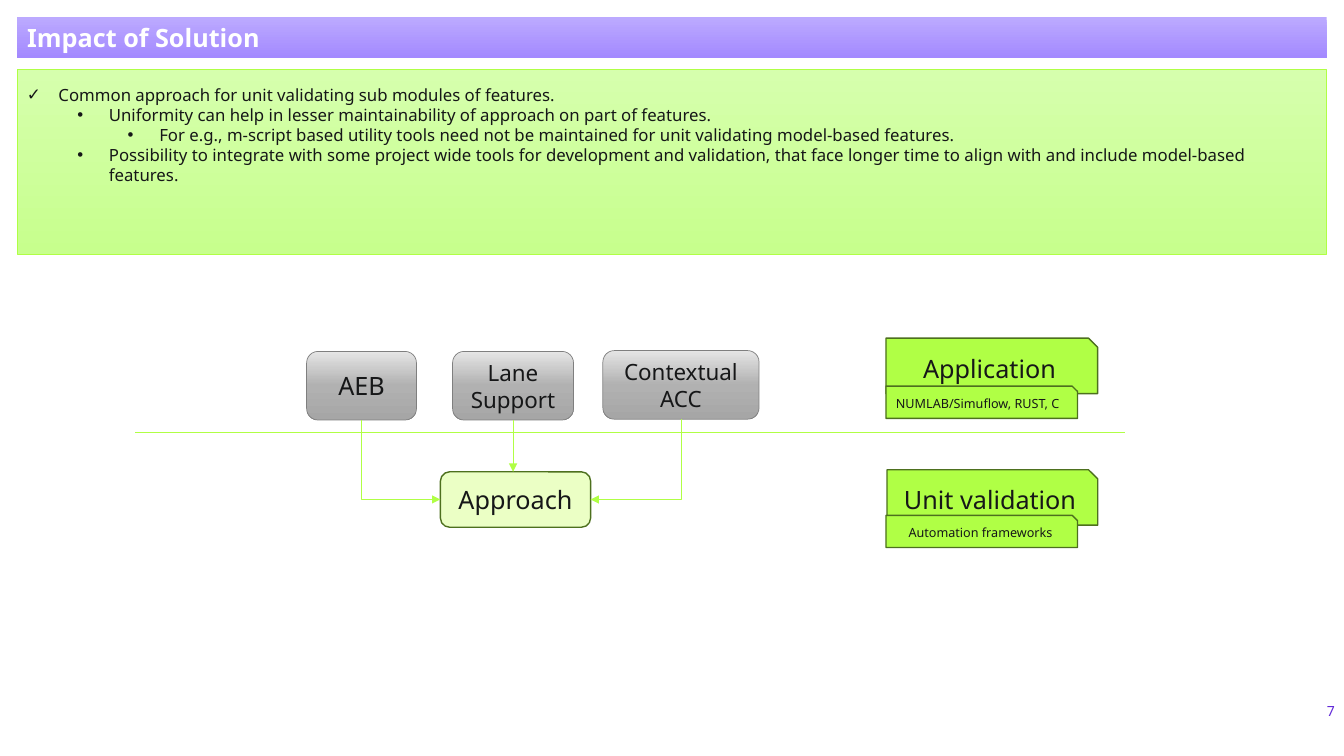
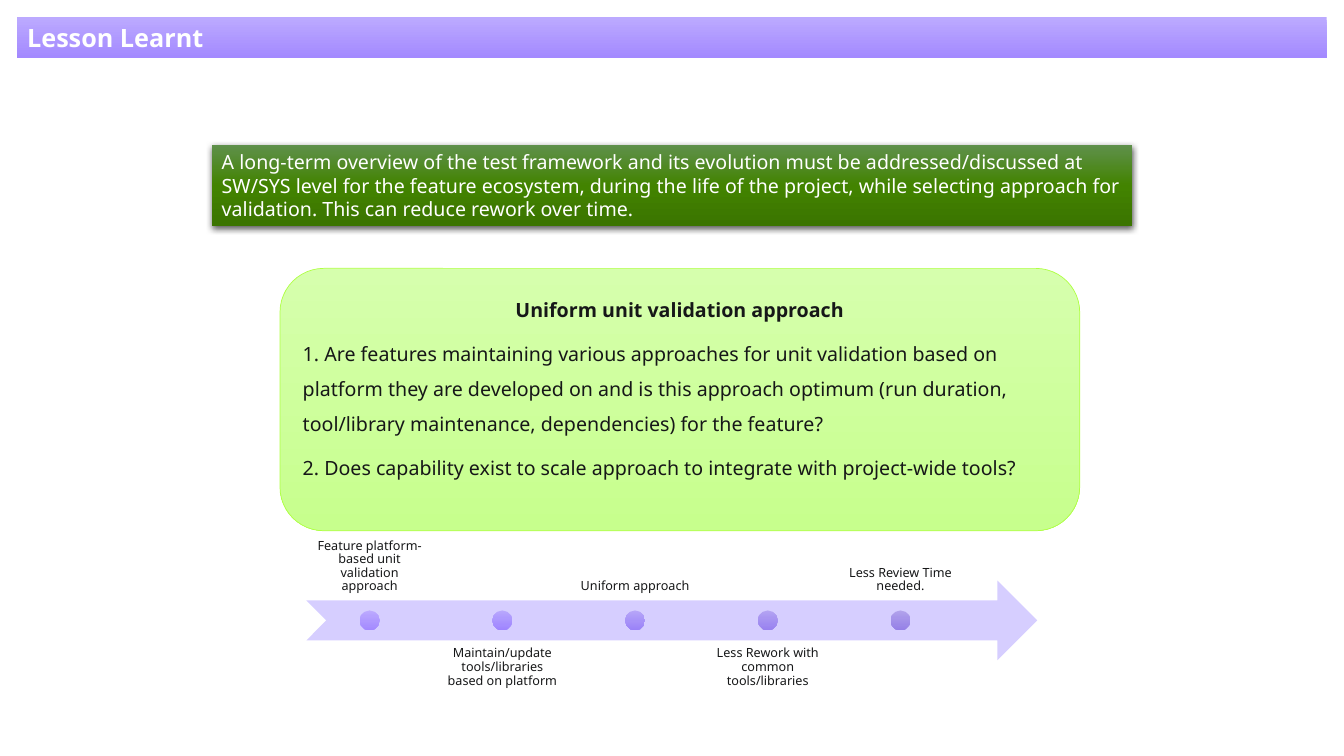
"""Build the two closing slides on a uniform unit validation approach."""
from copy import deepcopy

from lxml.etree import SubElement
from pptx import Presentation
from pptx.dml.color import RGBColor
from pptx.enum.shapes import MSO_CONNECTOR as CONN, MSO_SHAPE as SHAPE
from pptx.enum.text import MSO_ANCHOR as ANCHOR, MSO_AUTO_SIZE as AUTO, PP_ALIGN as ALIGN
from pptx.oxml.ns import qn
from pptx.util import Pt

FONT = "Noto Sans"
INK = RGBColor(0x16, 0x17, 0x18)
WHITE = RGBColor(0xFF, 0xFF, 0xFF)
VIOLET = RGBColor(0x62, 0x2A, 0xD8)
LILAC = RGBColor(0xD6, 0xCE, 0xFF)
LIME = RGBColor(0xB0, 0xFF, 0x45)
PALE_LIME = RGBColor(0xEB, 0xFF, 0xC5)
OLIVE = RGBColor(0x4D, 0x70, 0x1E)
GREY = RGBColor(0x7F, 0x7F, 0x7F)
PURPLE_BLEND = (RGBColor(0xBC, 0xAA, 0xFF), RGBColor(0xA3, 0x89, 0xFF))
LIME_BLEND = (RGBColor(0xD6, 0xFF, 0xAD), RGBColor(0xC7, 0xFF, 0x8D))
GREY_BLEND = (RGBColor(0xE5, 0xE5, 0xE5), RGBColor(0xB1, 0xB1, 0xB1), RGBColor(0xA6, 0xA6, 0xA6))
GREEN_BLEND = (RGBColor(0x5F, 0x90, 0x4B), RGBColor(0x42, 0x83, 0x00), RGBColor(0x3B, 0x74, 0x00))

TITLE_BOX = (12.2, 12.2, 935.5, 29.1)
INDENT = 22.5
LEVEL_STEP = 36

SUMMARY = [
    (0, "Common approach for unit validating sub modules of features."),
    (1, "Uniformity can help in lesser maintainability of approach on part of features."),
    (2, "For e.g., m-script based utility tools need not be maintained for unit validating "
        "model-based features."),
    (1, "Possibility to integrate with some project wide tools for development and validation, "
        "that face longer time to align with and include model-based features."),
]
TAGS = [
    ((632.9, 241.5, 151.2, 39.6), "Application", 18, ALIGN.CENTER),
    ((632.9, 275.8, 136.8, 23), "NUMLAB/Simuflow, RUST, C", 9, ALIGN.LEFT),
    ((633.6, 335.5, 150.5, 39.6), "Unit validation", 18, ALIGN.CENTER),
    ((632.9, 368.1, 136.8, 23), "Automation frameworks", 9, ALIGN.CENTER),
]
LESSON = ("A long-term overview of the test framework and its evolution must be "
          "addressed/discussed at SW/SYS level for the feature ecosystem, during the life of the "
          "project, while selecting approach for validation. This can reduce rework over time.")
QUESTIONS = [
    "1. Are features maintaining various approaches for unit validation based on platform they "
    "are developed on and is this approach optimum (run duration, tool/library maintenance, "
    "dependencies) for the feature?",
    "2. Does capability exist to scale approach to integrate with project-wide tools?",
]
MILESTONES = [
    ("Feature platform-based unit validation approach", PURPLE_BLEND),
    ("Maintain/update tools/libraries based on platform",
     (RGBColor(0xB8, 0xA7, 0xFD), RGBColor(0x9E, 0x84, 0xFF))),
    ("Uniform approach", (RGBColor(0xB6, 0xA5, 0xF8), RGBColor(0x9A, 0x82, 0xF8))),
    ("Less Rework with common tools/libraries",
     (RGBColor(0xB3, 0xA3, 0xF2), RGBColor(0x98, 0x81, 0xF0))),
    ("Less Review Time needed.", (RGBColor(0xB1, 0xA2, 0xEB), RGBColor(0x95, 0x80, 0xE7))),
]


def pts(values):
    """Turn numbers into point lengths."""
    return [Pt(v) for v in values]


def blend(sp, colors):
    """Fill a shape from top to bottom with evenly spaced colours."""
    sp.fill.gradient()
    sp.fill.gradient_angle = 270
    stops = sp.element.spPr.find(".//" + qn("a:gsLst"))
    for _ in colors[2:]:
        stops.append(deepcopy(stops[-1]))
    for i, (stop, color) in enumerate(zip(sp.fill.gradient_stops, colors)):
        stop.position = i / (len(colors) - 1)
        stop.color.rgb = color


def prepare(tf, anchor):
    """Make a text frame wrap at a fixed size and return its first paragraph."""
    tf.word_wrap = True
    tf.auto_size = AUTO.NONE
    tf.vertical_anchor = anchor
    return tf.paragraphs[0]


def write(p, text, size, color=INK, bold=False, align=ALIGN.LEFT):
    """Add one formatted run to a paragraph."""
    p.alignment = align
    r = p.add_run()
    r.text = text
    r.font.name, r.font.size, r.font.bold = FONT, Pt(size), bold
    r.font.color.rgb = color


def add_box(shapes, kind, box, fill, line=None, width=0.5):
    """Add a preset shape with a solid or blended fill."""
    sp = shapes.add_shape(kind, *pts(box))
    sp.shadow.inherit = False
    if isinstance(fill, RGBColor):
        sp.fill.solid()
        sp.fill.fore_color.rgb = fill
    else:
        blend(sp, fill)
    if line is None:
        sp.line.fill.background()
    else:
        sp.line.color.rgb = line
        sp.line.width = Pt(width)
    return sp


def add_label_box(shapes, kind, box, lines, size, fill, line, width=0.5, align=ALIGN.CENTER):
    """Add a shape with a vertically centred label and return it."""
    sp = add_box(shapes, kind, box, fill, line, width)
    p = prepare(sp.text_frame, ANCHOR.MIDDLE)
    for i, text in enumerate(lines):
        p = sp.text_frame.add_paragraph() if i else p
        write(p, text, size, align=align)
    return sp


def add_text(shapes, box, text, size, anchor, color=INK, align=ALIGN.CENTER):
    """Add a text box and return its frame."""
    tf = shapes.add_textbox(*pts(box)).text_frame
    write(prepare(tf, anchor), text, size, color, align=align)
    return tf


def add_line(shapes, kind, ends, arrow=False):
    """Add a lime connector, with an arrowhead at its start on request."""
    c = shapes.add_connector(kind, *pts(ends))
    c.line.color.rgb = LIME
    c.line.width = Pt(0.5)
    if arrow:
        SubElement(c.line._get_or_add_ln(), qn("a:headEnd"), type="triangle")
    SubElement(c.element.spPr, qn("a:effectLst"))
    return c


def add_elbow(shapes, target, side, source, ends):
    """Join a box's side to the bottom of another box with a single bend."""
    c = add_line(shapes, CONN.ELBOW, ends, arrow=True)
    c.element.spPr.find(qn("a:prstGeom")).set("prst", "bentConnector2")
    c.begin_connect(target, side)
    c.end_connect(source, 2)


def add_shadow(sp):
    """Give a shape a soft shadow below it."""
    effects = sp.element.spPr.find(qn("a:effectLst"))
    shadow = SubElement(effects, qn("a:outerShdw"), blurRad=str(Pt(4.5)), dist=str(Pt(1.5)),
                        dir="5400000", algn="ctr", rotWithShape="0")
    color = SubElement(shadow, qn("a:srgbClr"), val="000000")
    SubElement(color, qn("a:alpha"), val="63000")


def add_bullet(p, level):
    """Give a paragraph the bullet and hanging indent of its level."""
    pPr = p._p.get_or_add_pPr()
    pPr.set("marL", str(Pt(INDENT + LEVEL_STEP * level)))
    pPr.set("indent", str(Pt(-INDENT)))
    SubElement(pPr, qn("a:buFont"), typeface=FONT if level == 0 else "Arial")
    SubElement(pPr, qn("a:buChar"), char="•" if level else "✓")


def add_slide(prs, title):
    """Add a title-only slide with the purple title band."""
    slide = prs.slides.add_slide(prs.slide_layouts[5])
    sp = slide.shapes.title
    sp.left, sp.top, sp.width, sp.height = pts(TITLE_BOX)
    blend(sp, PURPLE_BLEND)
    write(prepare(sp.text_frame, ANCHOR.TOP), title, 18, WHITE, bold=True)
    return slide


def add_summary(shapes):
    """Add the green panel with the bulleted summary."""
    sp = add_box(shapes, SHAPE.RECTANGLE, (12.2, 49.5, 935.5, 132), LIME_BLEND, LIME)
    p = prepare(sp.text_frame, ANCHOR.TOP)
    p.line_spacing = 1.5
    for i, (level, text) in enumerate(SUMMARY):
        p = sp.text_frame.add_paragraph() if i else p
        add_bullet(p, level)
        write(p, text, 12)


def add_flow(shapes):
    """Add the features that lead to one approach."""
    def feature(box, lines, size):
        return add_label_box(shapes, SHAPE.ROUNDED_RECTANGLE, box, lines, size, GREY_BLEND, GREY)

    aeb = feature((219, 251, 78.5, 49), ["AEB"], 18)
    lane = feature((323.3, 251, 86.4, 49), ["Lane Support"], 16)
    acc = feature((430.6, 250.4, 111.6, 49), ["Contextual", "ACC"], 16)
    add_line(shapes, CONN.STRAIGHT, (96.5, 308.9, 803.5, 308.9))
    approach = add_label_box(shapes, SHAPE.ROUNDED_RECTANGLE, (314.6, 337, 107.3, 39.6),
                             ["Approach"], 18, PALE_LIME, OLIVE, 1)
    add_line(shapes, CONN.STRAIGHT, (366.5, 337, 366.5, 300), arrow=True).end_connect(lane, 2)
    add_elbow(shapes, approach, 1, aeb, (314.6, 356.8, 258.25, 300))
    add_elbow(shapes, approach, 3, acc, (421.9, 356.8, 486.4, 299.4))


def add_questions(shapes):
    """Add the rounded panel with the questions."""
    sp = add_box(shapes, SHAPE.ROUNDED_RECTANGLE, (200, 191.7, 571.2, 187.4), LIME_BLEND, LIME)
    p = prepare(sp.text_frame, ANCHOR.TOP)
    p.line_spacing = 1.5
    write(p, "Uniform unit validation approach", 14, bold=True, align=ALIGN.CENTER)
    for text in QUESTIONS:
        p = sp.text_frame.add_paragraph()
        p.line_spacing, p.space_before = 1.5, Pt(6)
        write(p, text, 14)


def add_timeline(shapes):
    """Add the arrow with milestones labelled above and below in turn."""
    left, top, height = 218.9, 414.7, 56.9
    width, step, dot = 90.2, 94.8, 14.2
    add_box(shapes, SHAPE.NOTCHED_RIGHT_ARROW, (left, top, 522, height), LILAC)
    for i, (text, colors) in enumerate(MILESTONES):
        x = left + step * i
        y, anchor = (457.2, ANCHOR.TOP) if i % 2 else (372.2, ANCHOR.BOTTOM)
        tf = add_text(shapes, (x, y, width, height), text, 9, anchor)
        tf.margin_left = tf.margin_right = tf.margin_top = tf.margin_bottom = Pt(5)
        tf.paragraphs[0].line_spacing = 0.9
        add_box(shapes, SHAPE.OVAL,
                (x + (width - dot) / 2, top + (height - dot) / 2, dot, dot), colors)


def build_impact(prs):
    """Build the slide on the impact of the solution."""
    shapes = add_slide(prs, "Impact of Solution").shapes
    add_summary(shapes)
    add_flow(shapes)
    for box, text, size, align in TAGS:
        add_label_box(shapes, SHAPE.SNIP_1_RECTANGLE, box, [text], size, LIME, OLIVE, 1, align)
    add_text(shapes, (923.8, 498.2, 36.7, 18.7), "7", 10, ANCHOR.MIDDLE, VIOLET, ALIGN.RIGHT)


def build_lesson(prs):
    """Build the slide on the lesson learnt."""
    shapes = add_slide(prs, "Lesson Learnt").shapes
    add_questions(shapes)
    sp = add_box(shapes, SHAPE.RECTANGLE, (151.3, 103.6, 657.4, 58), GREEN_BLEND)
    add_shadow(sp)
    write(prepare(sp.text_frame, ANCHOR.TOP), LESSON, 14, WHITE)
    add_timeline(shapes.add_group_shape().shapes)


def main():
    """Build and save the presentation."""
    prs = Presentation()
    prs.slide_width, prs.slide_height = Pt(960), Pt(540)
    build_impact(prs)
    build_lesson(prs)
    prs.save("out.pptx")


if __name__ == "__main__":
    main()
